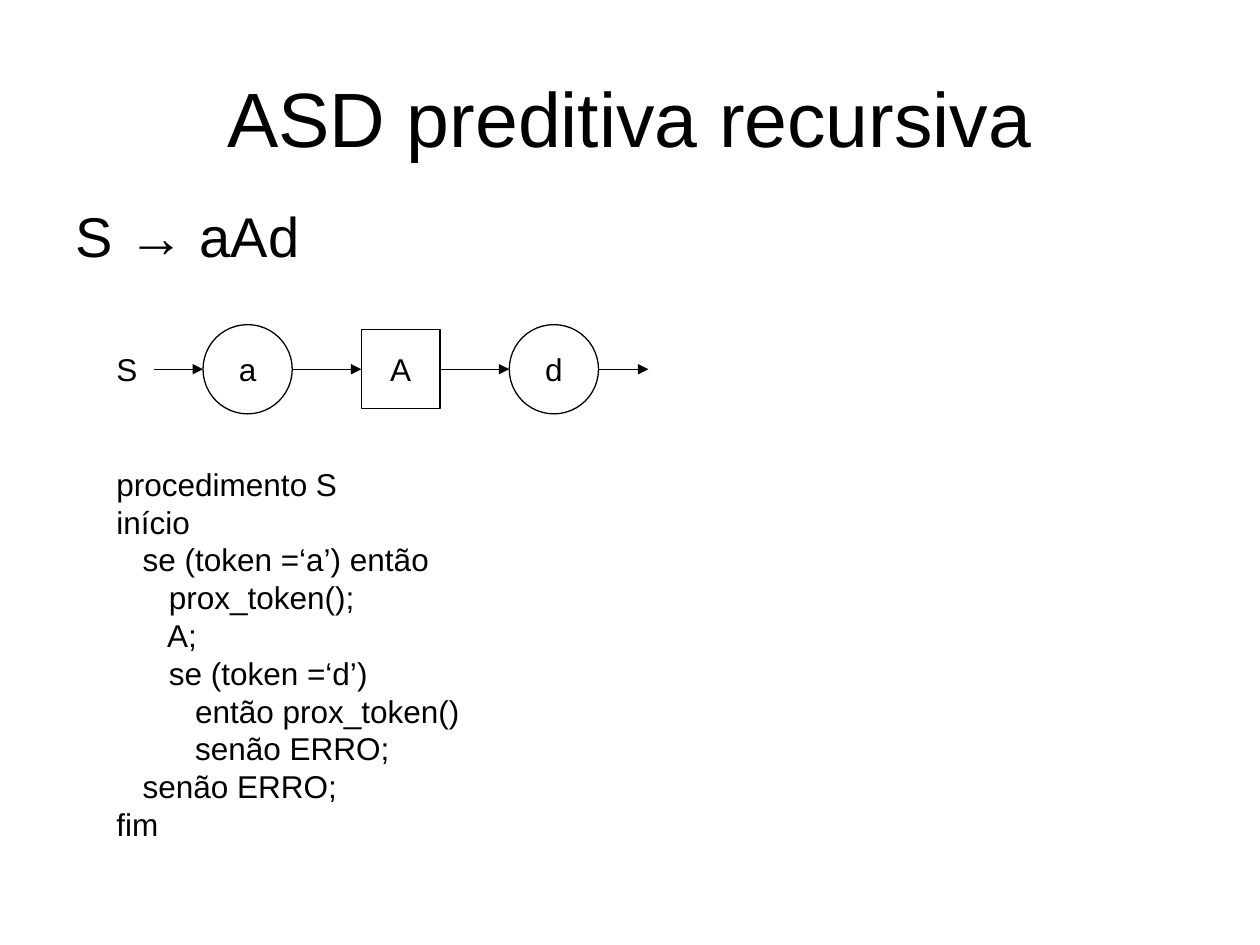
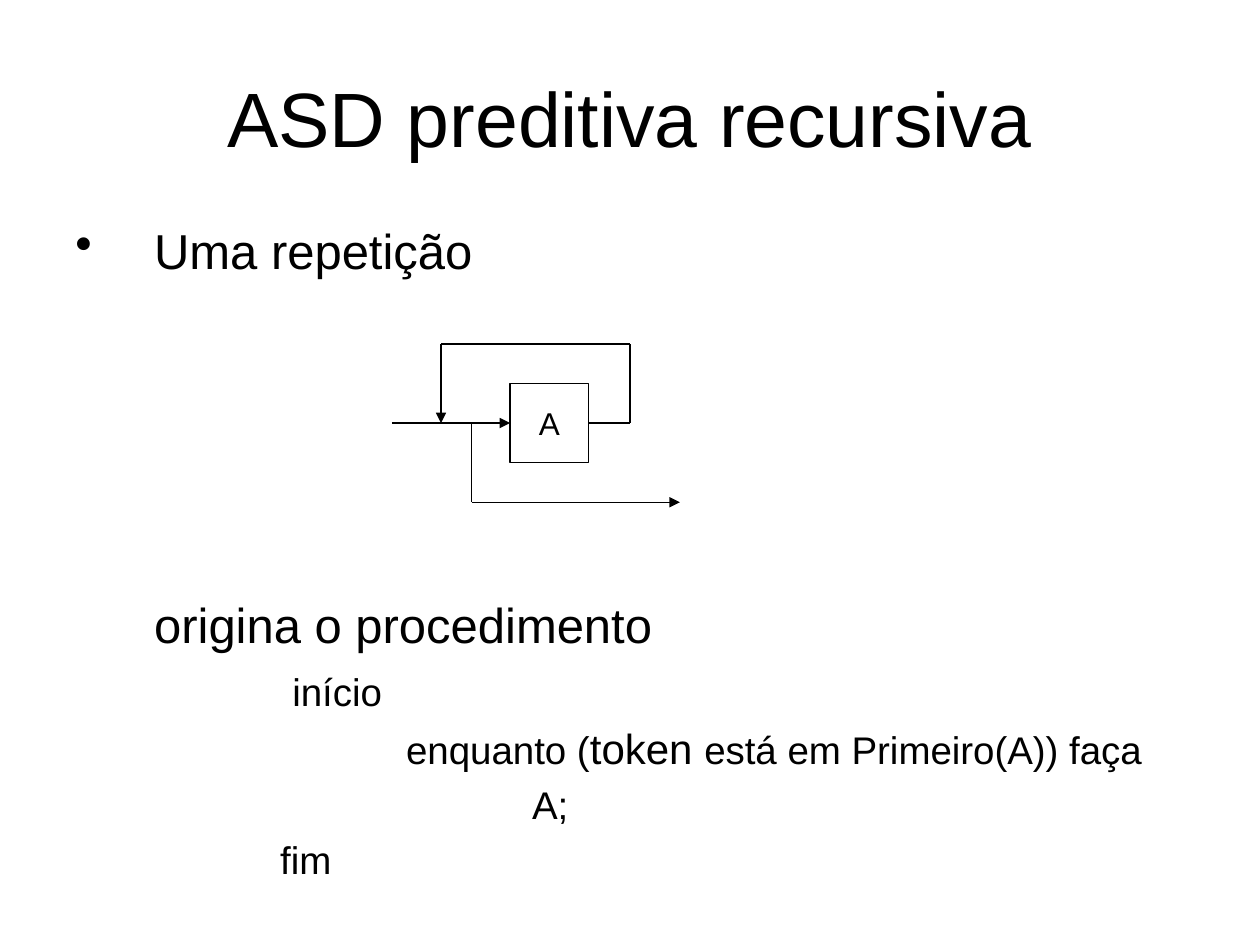
from pptx import Presentation
from pptx.dml.color import RGBColor
from pptx.enum.shapes import MSO_CONNECTOR as Connector, MSO_SHAPE as Shape
from pptx.enum.text import MSO_ANCHOR as Anchor, PP_ALIGN as Align
from pptx.oxml.ns import qn
from pptx.util import Pt
from lxml.etree import SubElement

TITLE = "ASD preditiva recursiva"
PROCEDURE_S = """procedimento S
início
   se (token =‘a’) então
      prox_token();
      A;
      se (token =‘d’)
         então prox_token()
         senão ERRO;
   senão ERRO;
fim"""


def color(hex_string):
    return RGBColor.from_string(hex_string)


def write(paragraph, text, size=18, align=Align.LEFT, ink="000000", font="Arial",
          margin=0, bullet=None, before=0, spacing=1.0):
    """Fill a paragraph; text is a string or a list of (string, size) runs."""
    properties = paragraph._p.get_or_add_pPr()
    properties.set("marL", str(Pt(margin)))
    properties.set("indent", str(Pt(-margin if bullet else 0)))
    paragraph.alignment = align
    paragraph.line_spacing = spacing
    paragraph.space_before = Pt(before)
    if bullet:
        SubElement(properties, qn("a:buChar")).set("char", bullet)
    for part, part_size in [(text, size)] if isinstance(text, str) else text:
        run = paragraph.add_run()
        run.text = part
        run.font.size = Pt(part_size)
        run.font.name = font
        run.font.color.rgb = color(ink)


class Deck:
    ink = "000000"
    line_width = 0.75
    circle_size = 51
    square_size = 45

    def __init__(self):
        self.presentation = Presentation()
        self.presentation.slide_width = Pt(720)
        self.presentation.slide_height = Pt(540)
        self.slide = None

    def add_slide(self, title):
        layout = self.presentation.slide_layouts[6]
        self.slide = self.presentation.slides.add_slide(layout)
        self.text(36, 21.6, 648, 90, [(title, dict(size=44, align=Align.CENTER))],
                  anchor=Anchor.MIDDLE)

    def text(self, left, top, width, height, paragraphs, anchor=Anchor.TOP):
        box = self.slide.shapes.add_textbox(Pt(left), Pt(top), Pt(width), Pt(height))
        frame = box.text_frame
        frame.word_wrap = True
        frame.vertical_anchor = anchor
        for index, (content, style) in enumerate(paragraphs):
            paragraph = frame.add_paragraph() if index else frame.paragraphs[0]
            write(paragraph, content, **style)

    def node(self, kind, left, middle, label):
        """Draw a symbol centred on the height middle; return its right edge."""
        size = self.circle_size if kind == Shape.OVAL else self.square_size
        shape = self.slide.shapes.add_shape(
            kind, Pt(left), Pt(middle - size / 2), Pt(size), Pt(size))
        shape.shadow.inherit = False
        shape.fill.background()
        shape.line.color.rgb = color(self.ink)
        shape.line.width = Pt(self.line_width)
        shape.text_frame.word_wrap = False
        shape.text_frame.vertical_anchor = Anchor.MIDDLE
        write(shape.text_frame.paragraphs[0], label, align=Align.CENTER)
        return left + size

    def route(self, *points, arrow=True):
        """Join the points with straight lines, the last one with an arrowhead."""
        segments = list(zip(points, points[1:]))
        for index, (start, end) in enumerate(segments, 1):
            line = self.slide.shapes.add_connector(
                Connector.STRAIGHT, *(Pt(value) for value in start + end))
            line.line.color.rgb = color(self.ink)
            line.line.width = Pt(self.line_width)
            if arrow and index == len(segments):
                SubElement(line.line._get_or_add_ln(), qn("a:tailEnd")).set("type", "triangle")
            SubElement(line._element.spPr, qn("a:effectLst"))


def build_sequence_slide(deck):
    deck.add_slide(TITLE)
    deck.text(36, 111.6, 648, 60, [("S → aAd", dict(size=32))])

    # Syntax diagram of S
    middle, gap = 211, 39.5
    deck.text(59.5, 196.5, 30, 29, [("S", {})])
    start, left = 88, 116
    for kind, label in [(Shape.OVAL, "a"), (Shape.RECTANGLE, "A"), (Shape.OVAL, "d")]:
        deck.route((start, middle), (left, middle))
        start = deck.node(kind, left, middle, label)
        left = start + gap
    deck.route((start, middle), (start + 28.5, middle))

    # Procedure
    deck.text(59.5, 262, 260, 223, [(line, {}) for line in PROCEDURE_S.split("\n")])


def build_repetition_slide(deck):
    deck.add_slide(TITLE)
    heading = dict(size=28, margin=45)
    deck.text(36, 122.4, 648, 40, [("Uma repetição", dict(heading, bullet="•"))])

    # Loop around A, with the way out below
    middle, rise = 241.75, 45.25
    square_left = 291.5
    square_right = deck.node(Shape.RECTANGLE, square_left, middle, "A")
    loop_left, loop_right, exit_left = 252, 360, 269.5
    deck.route((224, middle), (square_left, middle))
    deck.route((square_right, middle), (loop_right, middle), (loop_right, middle - rise),
               (loop_left, middle - rise), (loop_left, middle))
    deck.route((exit_left, middle), (exit_left, middle + rise), (388.5, middle + rise))

    # Procedure
    def code(margin, before=7.5):
        return dict(size=22, margin=margin, before=before, spacing=0.9)

    condition = [("enquanto (", 22), ("token ", 24), ("está em Primeiro(A)) faça", 22)]
    deck.text(36, 336, 648, 165, [
        ("origina o procedimento", heading),
        ("início", code(124, before=11.5)),
        (condition, code(189)),
        ("A;", code(261)),
        ("fim", code(117)),
    ])


def main():
    deck = Deck()
    build_sequence_slide(deck)
    build_repetition_slide(deck)
    deck.presentation.save("out.pptx")


if __name__ == "__main__":
    main()
